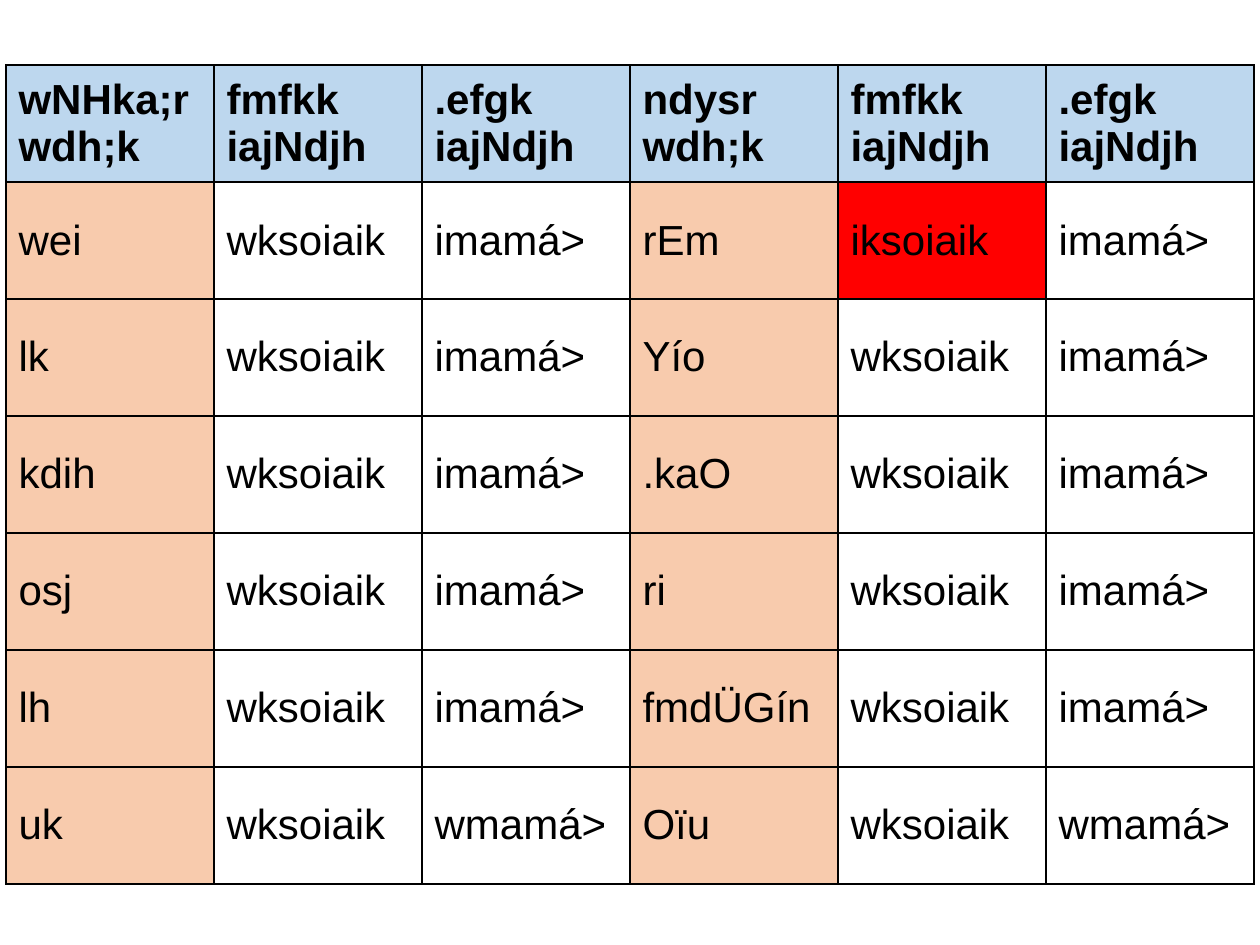
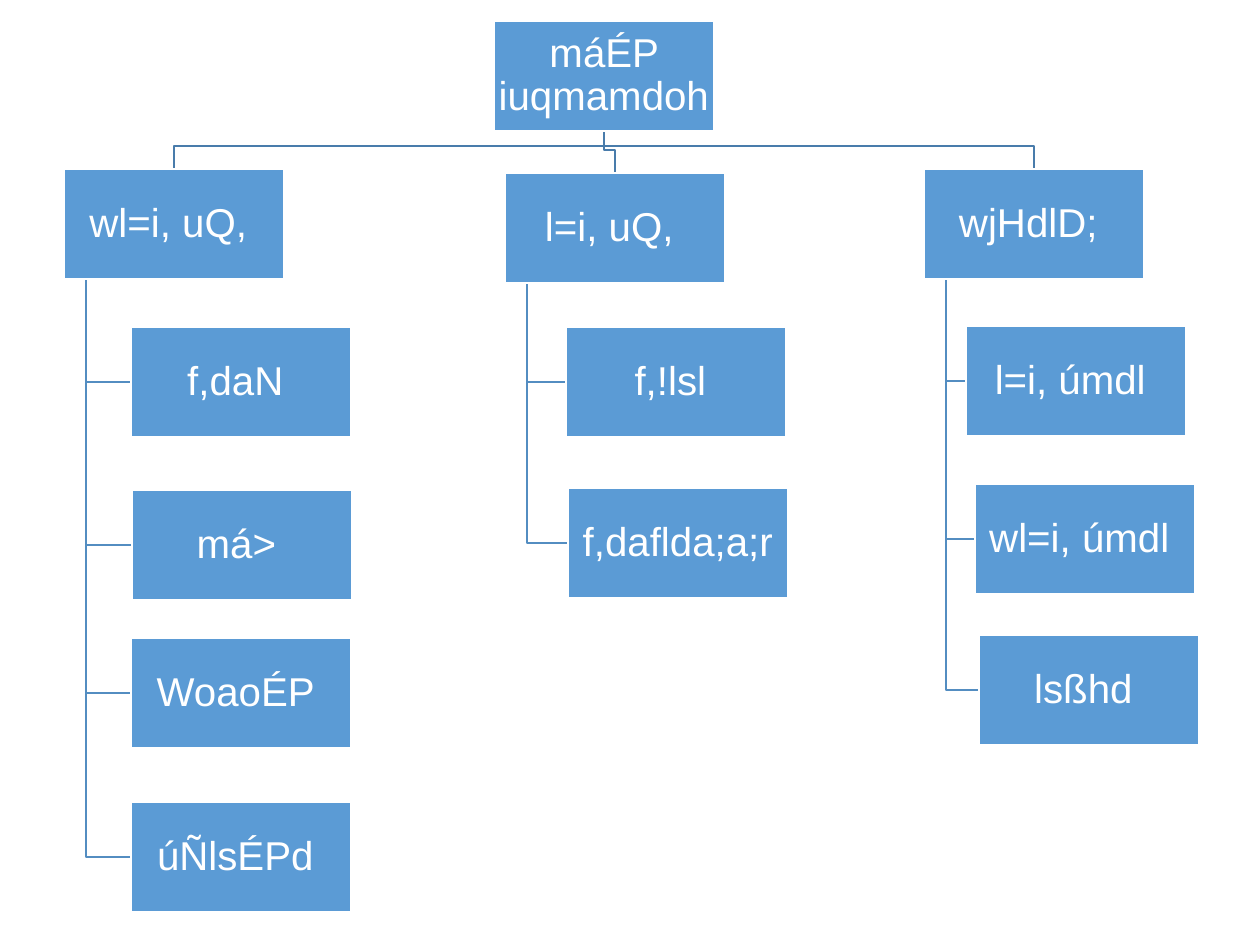
from lxml import etree
from pptx import Presentation
from pptx import util as u
from pptx.dml.color import RGBColor
from pptx.enum import shapes, text
from pptx.oxml.ns import qn

PX = 914400 / 126  # EMU per px
FONT = "Arial"

BLACK = RGBColor(0x00, 0x00, 0x00)
WHITE = RGBColor(0xFF, 0xFF, 0xFF)
HEADER_BLUE = RGBColor(0xBD, 0xD7, 0xEE)
KEY_PEACH = RGBColor(0xF8, 0xCB, 0xAD)
ALERT_RED = RGBColor(0xFF, 0x00, 0x00)
BOX_BLUE = RGBColor(0x5B, 0x9B, 0xD5)
TRUNK_BLUE = RGBColor(0x49, 0x7C, 0xAB)
TWIG_BLUE = RGBColor(0x53, 0x8D, 0xC1)

# Table: each row holds two groups of three columns
HEADERS = ["wNHka;r wdh;k", "fmfkk iajNdjh", ".efgk iajNdjh",
           "ndysr wdh;k", "fmfkk iajNdjh", ".efgk iajNdjh"]
COMMON, ODD_ONE = "wksoiaik", "iksoiaik"
KEY_PAIRS = [("wei", "rEm"), ("lk", "Yío"), ("kdih", ".kaO"),
             ("osj", "ri"), ("lh", "fmdÜGín"), ("uk", "Oïu")]
COL_W, ROW_H = 208, 117

# Tree: label, left, top; the trailing spaces shift the centred labels
BOX_W, BOX_H = 220, 110
STEM_INSET, BEND_RISE = 22, 23
ROOT = ("máÉP iuqmamdoh ", 494, 21)
BRANCHES = [
    (("wl=i, uQ, ", 64, 169),
     [("f,daN ", 131, 327), ("má> ", 132, 490),
      ("WoaoÉP ", 131, 638), ("úÑlsÉPd ", 131, 802)]),
    (("l=i, uQ, ", 505, 173),
     [("f,!lsl ", 566, 327), ("f,daflda;a;r", 568, 488)]),
    (("wjHdlD; ", 924, 169),
     [("l=i, úmdl ", 966, 326), ("wl=i, úmdl ", 975, 484),
      ("lsßhd ", 979, 635)]),
]


def px(length):
    return u.Emu(round(length * PX))


def add_run(paragraph, words, size, color, bold=False):
    run = paragraph.add_run()
    run.text = words
    run.font.name, run.font.size, run.font.bold = FONT, u.Pt(size), bold
    run.font.color.rgb = color


def add_borders(cell):
    props = cell._tc.get_or_add_tcPr()
    for position, side in enumerate(("a:lnL", "a:lnR", "a:lnT", "a:lnB")):
        border = etree.Element(qn(side), w=str(u.Pt(1)))
        fill = etree.SubElement(border, qn("a:solidFill"))
        etree.SubElement(fill, qn("a:srgbClr"), val=str(BLACK))
        props.insert(position, border)


def table_rows():
    yield HEADERS
    for number, (inner, outer) in enumerate(KEY_PAIRS, start=1):
        ending = "wmamá>" if number == len(KEY_PAIRS) else "imamá>"
        outer_nature = ODD_ONE if number == 1 else COMMON
        yield [inner, COMMON, ending, outer, outer_nature, ending]


def cell_color(row, column, words):
    if row == 0:
        return HEADER_BLUE
    if words == ODD_ONE:
        return ALERT_RED
    return KEY_PEACH if column % 3 == 0 else None


def add_comparison_table(slide, left, top):
    rows = list(table_rows())
    table = slide.shapes.add_table(
        len(rows), len(HEADERS), px(left), px(top),
        px(COL_W * len(HEADERS)), px(ROW_H * len(rows))).table
    table.first_row = table.horz_banding = False
    for column in table.columns:
        column.width = px(COL_W)
    for r, row in enumerate(rows):
        table.rows[r].height = px(ROW_H)
        for c, words in enumerate(row):
            cell = table.cell(r, c)
            cell.vertical_anchor = text.MSO_ANCHOR.MIDDLE
            add_run(cell.text_frame.paragraphs[0], words, 24, BLACK, r == 0)
            color = cell_color(r, c, words)
            if color is None:
                cell.fill.background()
            else:
                cell.fill.solid()
                cell.fill.fore_color.rgb = color
            add_borders(cell)


def add_elbow(slide, points, color):
    builder = slide.shapes.build_freeform(*points[0], scale=PX)
    builder.add_line_segments(points[1:], close=False)
    elbow = builder.convert_to_shape()
    elbow.shadow.inherit = False
    elbow.fill.background()
    elbow.line.color.rgb = color
    elbow.line.width = u.Pt(1)


def add_trunk(slide, branch):
    """Link the root's bottom centre to a branch's top centre."""
    _, root_left, root_top = ROOT
    _, left, top = branch
    start_x, end_x = root_left + BOX_W // 2, left + BOX_W // 2
    bend = top - BEND_RISE
    add_elbow(slide, [(start_x, root_top + BOX_H), (start_x, bend),
                      (end_x, bend), (end_x, top)], TRUNK_BLUE)


def add_twig(slide, branch, leaf):
    """Link a branch's stem to the middle of a leaf's left side."""
    _, left, top = branch
    _, leaf_left, leaf_top = leaf
    stem, middle = left + STEM_INSET, leaf_top + BOX_H // 2
    add_elbow(slide, [(stem, top + BOX_H), (stem, middle),
                      (leaf_left, middle)], TWIG_BLUE)


def add_box(slide, label, left, top):
    box = slide.shapes.add_shape(shapes.MSO_SHAPE.RECTANGLE, px(left), px(top),
                                 px(BOX_W), px(BOX_H))
    box.shadow.inherit = False
    box.fill.solid()
    box.fill.fore_color.rgb = BOX_BLUE
    box.line.color.rgb = WHITE
    box.line.width = u.Pt(1)
    frame = box.text_frame
    frame.word_wrap = True
    frame.vertical_anchor = text.MSO_ANCHOR.MIDDLE
    frame.margin_left = frame.margin_right = px(2)
    frame.margin_top = frame.margin_bottom = px(2)
    paragraph = frame.paragraphs[0]
    paragraph.alignment = text.PP_ALIGN.CENTER
    paragraph.line_spacing = 0.9
    add_run(paragraph, label, 23, WHITE)


def add_tree(slide):
    # Links lie behind the boxes
    for branch, leaves in BRANCHES:
        add_trunk(slide, branch)
        for leaf in leaves:
            add_twig(slide, branch, leaf)
    add_box(slide, *ROOT)
    for branch, leaves in BRANCHES:
        for node in [branch, *leaves]:
            add_box(slide, *node)


def main():
    deck = Presentation()
    deck.slide_width, deck.slide_height = px(1260), px(945)
    blank = deck.slide_layouts[6]
    add_comparison_table(deck.slides.add_slide(blank), 6, 65)
    add_tree(deck.slides.add_slide(blank))
    deck.save("out.pptx")


if __name__ == "__main__":
    main()
